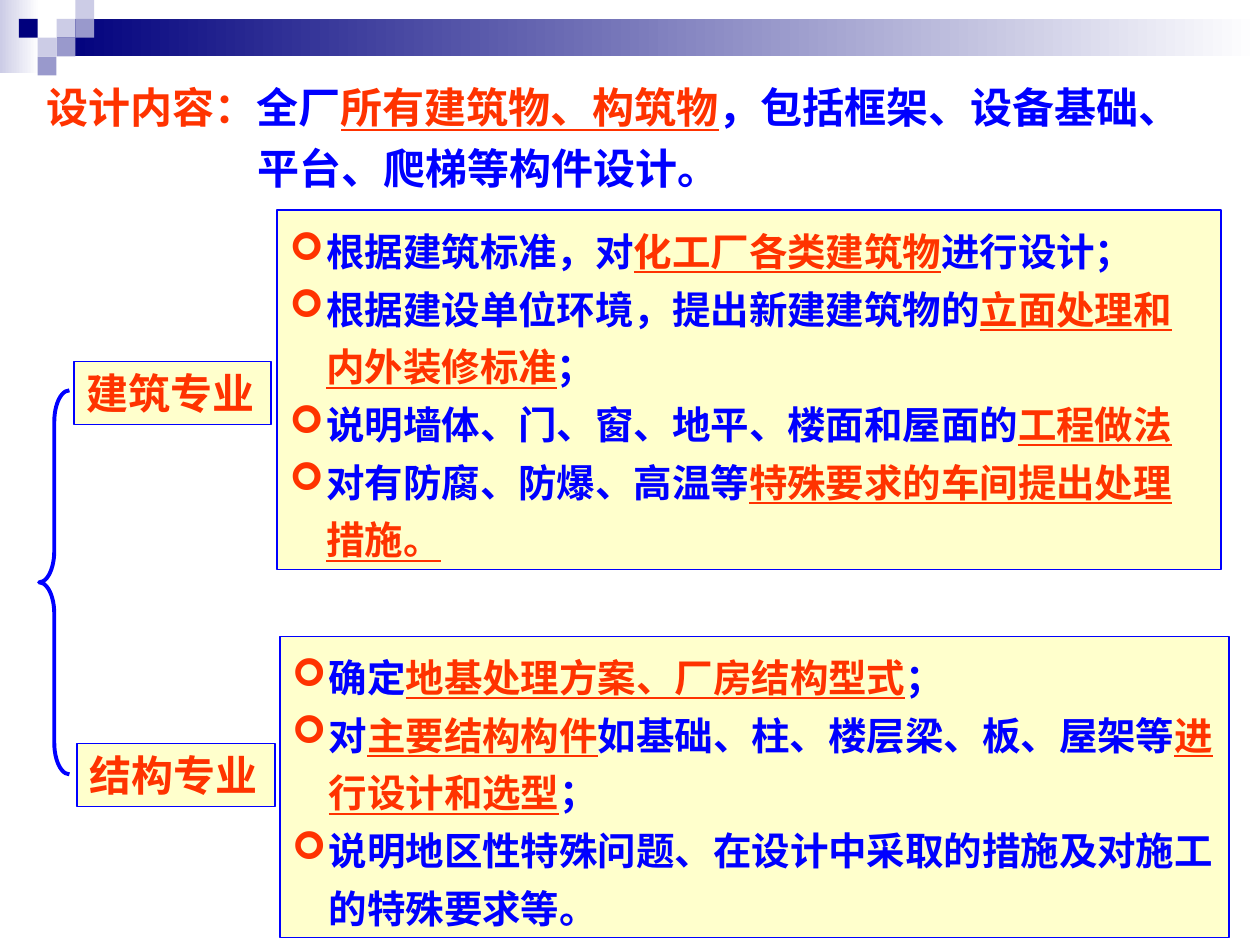
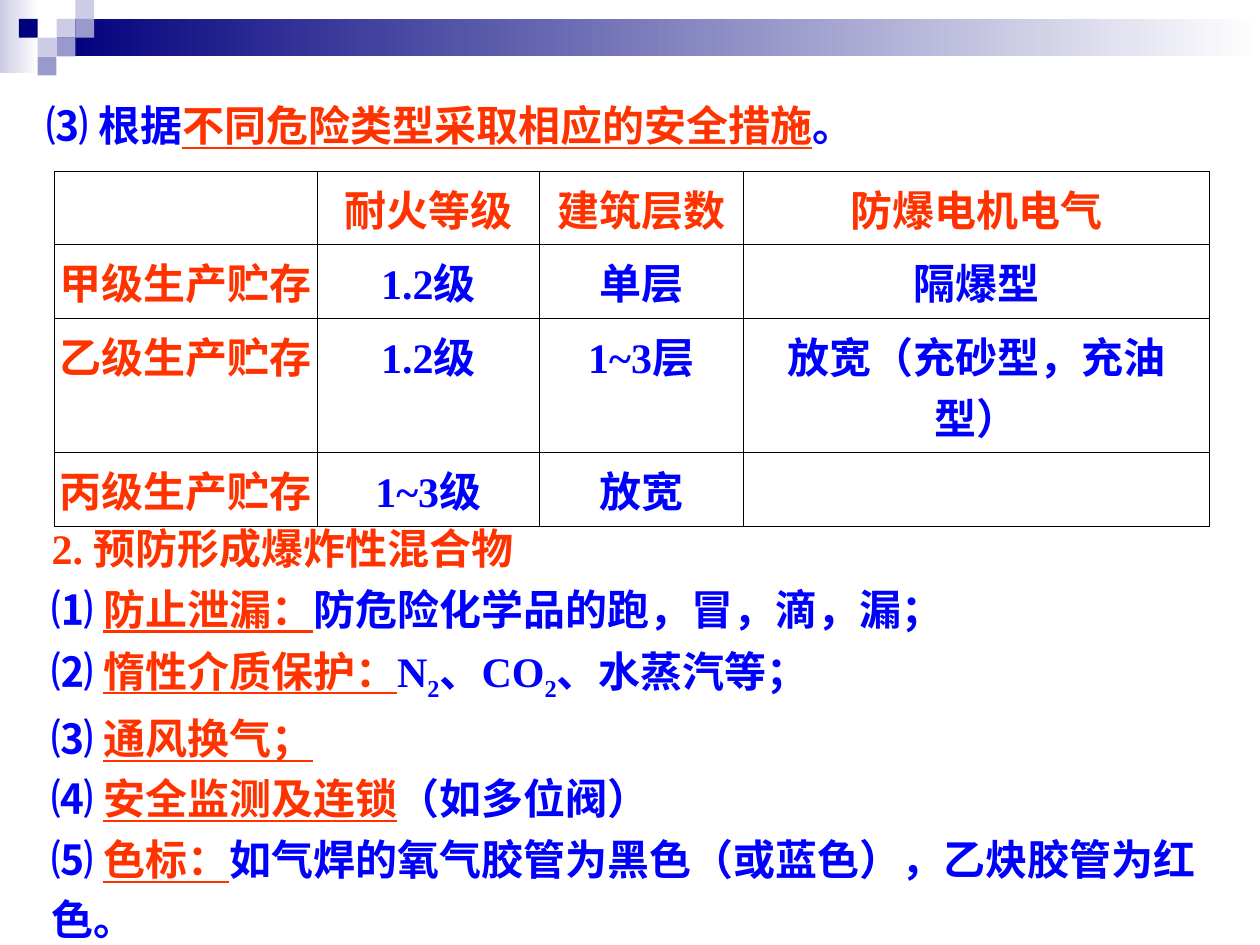
from lxml import etree
from pptx import Presentation
from pptx.dml.color import RGBColor
from pptx.enum import shapes, text
from pptx.oxml import ns
from pptx.util import Cm, Pt

BLUE = RGBColor(0x00, 0x00, 0xFF)
RED = RGBColor(0xFF, 0x33, 0x00)
CREAM = RGBColor(0xFF, 0xFF, 0xCC)
NAVY = RGBColor(0x00, 0x00, 0x7D)
LILAC = RGBColor(0xCC, 0xCC, 0xE6)
VIOLET = RGBColor(0x99, 0x99, 0xCC)
WHITE = RGBColor(0xFF, 0xFF, 0xFF)
BLACK = RGBColor(0x00, 0x00, 0x00)

FONT = {"name": "Times New Roman", "bold": True}
PLAIN = {"color": BLUE}
HEAD = {"color": RED}
KEY = {"color": RED, "underline": True}
SUB = {"color": BLUE, "baseline": -25000}

TILE = 0.38
TILES = [(3, 1, LILAC), (4, 0, LILAC), (4, 1, VIOLET), (2, 2, LILAC),
         (1, 1, NAVY), (3, 2, VIOLET), (2, 3, VIOLET)]


def add_tag(parent, tag, **values):
    return etree.SubElement(parent, ns.qn(tag), values)


def add_span(para, words, style, size):
    span = para.add_run()
    span.text = words
    for name, value in {**FONT, "size": Pt(size), **style}.items():
        if name == "color":
            span.font.color.rgb = value
        elif name == "baseline":
            span.font._element.set("baseline", str(value))
        else:
            setattr(span.font, name, value)


def add_bullet(para, indent):
    props = para._p.get_or_add_pPr()
    props.set("marL", str(Cm(indent)))
    props.set("indent", str(-Cm(indent)))
    colour = add_tag(props, "a:buClr")
    add_tag(colour, "a:srgbClr", val=str(RED))
    add_tag(props, "a:buFont", typeface="Wingdings")
    add_tag(props, "a:buChar", char="➢")


def write(frame, paragraphs, size=24, spacing=1.0, bullet=None,
          align=text.PP_ALIGN.LEFT):
    settings = {"word_wrap": True, "auto_size": text.MSO_AUTO_SIZE.NONE,
                "vertical_anchor": text.MSO_ANCHOR.TOP}
    for name, value in settings.items():
        setattr(frame, name, value)
    for index, spans in enumerate(paragraphs):
        para = frame.add_paragraph() if index else frame.paragraphs[0]
        para.alignment = align
        para.line_spacing = spacing
        if bullet:
            add_bullet(para, bullet)
        for words, style in spans:
            add_span(para, words, style, size)


def place(shape, left, top, width, height):
    names = ("left", "top", "width", "height")
    for name, value in zip(names, (left, top, width, height)):
        setattr(shape, name, Cm(value))


def add_block(page, area, fill, fade=False):
    block = page.shapes.add_shape(shapes.MSO_SHAPE.RECTANGLE, *map(Cm, area))
    block.shadow.inherit = False
    block.line.fill.background()
    if fade:
        block.fill.gradient()
        block.fill.gradient_angle = 0
        for stop, colour in zip(block.fill.gradient_stops, (fill, WHITE)):
            stop.color.rgb = colour
    else:
        block.fill.solid()
        block.fill.fore_color.rgb = fill
    return block


def add_panel(page, area, paragraphs, **format_values):
    panel = add_block(page, area, CREAM)
    panel.line.color.rgb = BLUE
    panel.line.width = Pt(1)
    write(panel.text_frame, paragraphs, **format_values)


def add_brace(page, area):
    brace = page.shapes.add_shape(shapes.MSO_SHAPE.LEFT_BRACE, *map(Cm, area))
    brace.shadow.inherit = False
    brace.fill.background()
    brace.line.color.rgb = BLUE
    brace.line.width = Pt(2.25)
    brace.adjustments[0] = 1.04


def dress_layout(layout, page):
    for holder in list(layout.placeholders)[1:]:
        holder.element.getparent().remove(holder.element)
    blocks = [add_block(page, (0, 0, 0.79, 1.47), LILAC, fade=True),
              add_block(page, (3 * TILE, TILE, 24.26, 2 * TILE), NAVY, fade=True)]
    for column, row, colour in TILES:
        area = (column * TILE, row * TILE, TILE, TILE)
        blocks.append(add_block(page, area, colour))
    for block in blocks:
        layout.shapes.element.append(block.element)


def set_title(page, area, spans, spacing=1.0, hang=0):
    title = page.shapes.title
    place(title, *area)
    write(title.text_frame, [spans], spacing=spacing)
    props = title.text_frame.paragraphs[0]._p.get_or_add_pPr()
    props.set("marL", str(Cm(hang)))
    props.set("indent", str(-Cm(hang)))


def add_borders(cell):
    props = cell._tc.get_or_add_tcPr()
    for index, side in enumerate(("a:lnL", "a:lnR", "a:lnT", "a:lnB")):
        line = etree.Element(ns.qn(side), w=str(Pt(0.45)))
        fill = add_tag(line, "a:solidFill")
        add_tag(fill, "a:srgbClr", val=str(BLACK))
        props.insert(index, line)


def add_grid(page, left, top, widths, heights, rows):
    area = map(Cm, (left, top, sum(widths), sum(heights)))
    grid = page.shapes.add_table(len(rows), len(widths), *area).table
    grid.first_row = grid.horz_banding = False
    for column, width in zip(grid.columns, widths):
        column.width = Cm(width)
    for r, (values, height) in enumerate(zip(rows, heights)):
        grid.rows[r].height = Cm(height)
        for c, value in enumerate(values):
            cell = grid.cell(r, c)
            cell.margin_left = cell.margin_right = Cm(0.1)
            cell.fill.background()
            add_borders(cell)
            if value:
                style = PLAIN if r and c else HEAD
                write(cell.text_frame, [[(value, style)]],
                      align=text.PP_ALIGN.CENTER)


def fill_design_page(page):
    set_title(page, (0.69, 1.32, 24.08, 2.69), [
        ("设计内容：", HEAD), ("全厂", PLAIN), ("所有建筑物、构筑物", KEY),
        ("，包括框架、设备基础、平台、爬梯等构件设计。", PLAIN)],
        spacing=1.2, hang=4.24)
    add_brace(page, (0.79, 7.87, 0.61, 7.74))
    add_panel(page, (1.5, 7.29, 3.96, 1.27), [[("建筑专业", HEAD)]])
    add_panel(page, (1.55, 14.99, 3.99, 1.27), [[("结构专业", HEAD)]])
    lists = {"size": 22, "spacing": 1.25, "bullet": 0.74}
    add_panel(page, (5.59, 4.24, 19.02, 7.24), [
        [("根据建筑标准，对", PLAIN), ("化工厂各类建筑物", KEY),
         ("进行设计；", PLAIN)],
        [("根据建设单位环境，提出新建建筑物的", PLAIN),
         ("立面处理和内外装修标准", KEY), ("；", PLAIN)],
        [("说明墙体、门、窗、地平、楼面和屋面的", PLAIN), ("工程做法", KEY)],
        [("对有防腐、防爆、高温等", PLAIN),
         ("特殊要求的车间提出处理措施。", KEY)]], **lists)
    add_panel(page, (5.64, 12.83, 19.13, 6.07), [
        [("确定", PLAIN), ("地基处理方案、厂房结构型式", KEY), ("；", PLAIN)],
        [("对", PLAIN), ("主要结构构件", KEY),
         ("如基础、柱、楼层梁、板、屋架等", PLAIN),
         ("进行设计和选型", KEY), ("；", PLAIN)],
        [("说明地区性特殊问题、在设计中采取的措施及对施工的特殊要求等。",
          PLAIN)]], **lists)


def fill_safety_page(page):
    set_title(page, (0.69, 1.88, 23.65, 1.27), [
        ("⑶ 根据", PLAIN), ("不同危险类型采取相应的安全措施", KEY),
        ("。", PLAIN)])
    add_grid(page, 1.09, 3.45, (5.31, 4.47, 4.11, 9.4),
             (1.27, 1.27, 2.29, 1.27), [
        ("", "耐火等级", "建筑层数", "防爆电机电气"),
        ("甲级生产贮存", "1.2级", "单层", "隔爆型"),
        ("乙级生产贮存", "1.2级", "1~3层", "放宽（充砂型，充油型）"),
        ("丙级生产贮存", "1~3级", "放宽", "")])
    box = page.shapes.add_textbox(*map(Cm, (0.79, 10.21, 24, 8.97)))
    write(box.text_frame, [
        [("2. 预防形成爆炸性混合物", HEAD)],
        [("⑴ ", PLAIN), ("防止泄漏：", KEY),
         ("防危险化学品的跑，冒，滴，漏；", PLAIN)],
        [("⑵ ", PLAIN), ("惰性介质保护：", KEY), ("N", PLAIN), ("2", SUB),
         ("、CO", PLAIN), ("2", SUB), ("、水蒸汽等；", PLAIN)],
        [("⑶ ", PLAIN), ("通风换气；", KEY)],
        [("⑷ ", PLAIN), ("安全监测及连锁", KEY), ("（如多位阀）", PLAIN)],
        [("⑸ ", PLAIN), ("色标：", KEY),
         ("如气焊的氧气胶管为黑色（或蓝色），乙炔胶管为红色。", PLAIN)]],
        spacing=1.2)


def main():
    deck = Presentation()
    deck.slide_width, deck.slide_height = Cm(25.4), Cm(19.05)
    layout = deck.slide_layouts[5]
    design_page = deck.slides.add_slide(layout)
    dress_layout(layout, design_page)
    fill_design_page(design_page)
    fill_safety_page(deck.slides.add_slide(layout))
    deck.save("out.pptx")


if __name__ == "__main__":
    main()
